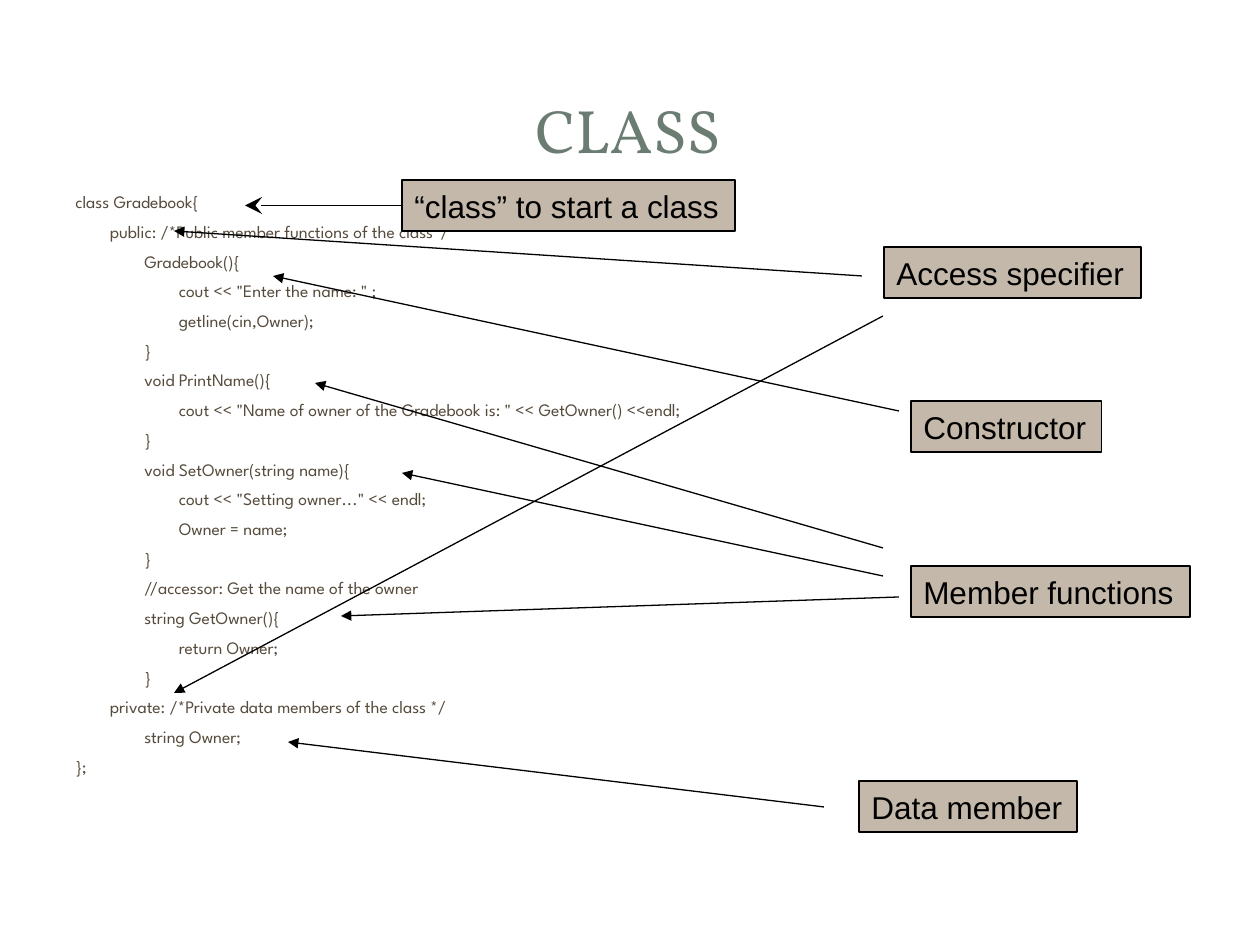
from lxml import etree
from pptx import Presentation
from pptx.dml.color import RGBColor
from pptx.enum.shapes import MSO_CONNECTOR
from pptx.enum.text import MSO_ANCHOR, MSO_AUTO_SIZE, PP_ALIGN
from pptx.oxml.ns import qn
from pptx.util import Pt

SCALE = 914400 // 126
STRAIGHT = MSO_CONNECTOR.STRAIGHT
MIDDLE = MSO_ANCHOR.MIDDLE
CENTER = PP_ALIGN.CENTER
FIT_SHAPE = MSO_AUTO_SIZE.SHAPE_TO_FIT_TEXT
NO_FIT = MSO_AUTO_SIZE.NONE

BLACK = RGBColor(0x00, 0x00, 0x00)
TITLE_GREEN = RGBColor(0x6B, 0x7D, 0x72)
CODE_BROWN = RGBColor(0x56, 0x4B, 0x3C)
LABEL_TAN = RGBColor(0xC3, 0xB8, 0xA9)

INDENT = 34.5
LABEL_HEIGHT = 51

# Indent level and wording of each line of code
CODE = [
    (0, "class Gradebook{"),
    (1, "public: /*Public member functions of the class*/"),
    (2, "Gradebook(){"),
    (3, 'cout << "Enter the name: " ;'),
    (3, "getline(cin,Owner);"),
    (2, "}"),
    (2, "void PrintName(){"),
    (3, 'cout << "Name of owner of the Gradebook is: " << GetOwner() <<endl;'),
    (2, "}"),
    (2, "void SetOwner(string name){"),
    (3, 'cout << "Setting owner..." << endl;'),
    (3, "Owner = name;"),
    (2, "}"),
    (2, "//accessor: Get the name of the owner"),
    (2, "string GetOwner(){"),
    (3, "return Owner;"),
    (2, "}"),
    (1, "private: /*Private data members of the class */"),
    (2, "string Owner;"),
    (0, "};"),
]

# Wording, left, top and width of each label, then its arrows (from, to)
CALLOUTS = [
    ("Access specifier", 884, 247, 257,
     [((883, 316), (174, 693)), ((862, 276), (174, 231))]),
    ("Member functions", 911, 566, 279,
     [((883, 548), (315, 383)), ((883, 576), (402, 473)),
      ((899, 597), (341, 616))]),
    ("Data member", 859, 781, 218, [((824, 807), (288, 742))]),
    ("Constructor", 911, 401, 191, [((899, 411), (273, 276))]),
]


def px(length):
    """Turn pixels into EMU."""
    return int(length * SCALE)


def set_font(para, name, size, color):
    """Set the font of a whole paragraph."""
    para.font.name = name
    para.font.size = Pt(size)
    para.font.color.rgb = color


def write_title(page, text, left, top, width, height):
    """Place and format the title placeholder."""
    title = page.shapes.title
    title.left, title.top, title.width, title.height = map(
        px, (left, top, width, height))
    frame = title.text_frame
    frame.text = text
    frame.vertical_anchor = MIDDLE
    frame.auto_size = NO_FIT
    para = frame.paragraphs[0]
    para.alignment = CENTER
    set_font(para, "Vollkorn", 35, TITLE_GREEN)


def add_code(page, lines, left, top, width, height):
    """Add the code listing, one indented paragraph a line."""
    box = page.shapes.add_textbox(*map(px, (left, top, width, height)))
    frame = box.text_frame
    frame.word_wrap = True
    frame.text = "\n".join(text for _, text in lines)
    for para, (level, _) in zip(frame.paragraphs, lines):
        para.space_before = Pt(5)
        para.line_spacing = Pt(12)
        para._p.get_or_add_pPr().set("marL", str(px(level * INDENT)))
        set_font(para, "League Spartan", 10, CODE_BROWN)


def add_label(shapes, text, left, top, width):
    """Add a framed label."""
    box = shapes.add_textbox(*map(px, (left, top, width, LABEL_HEIGHT)))
    box.fill.solid()
    box.fill.fore_color.rgb = LABEL_TAN
    box.line.color.rgb = BLACK
    box.line.width = Pt(0.75)
    frame = box.text_frame
    frame.word_wrap = False
    frame.auto_size = FIT_SHAPE
    frame.vertical_anchor = MIDDLE
    frame.text = text
    set_font(frame.paragraphs[0], "Arial", 18, BLACK)


def add_arrow(shapes, start, end, head="triangle", size="med"):
    """Add a straight arrow that points at its end."""
    arrow = shapes.add_connector(STRAIGHT, *map(px, (*start, *end)))
    arrow.line.color.rgb = BLACK
    arrow.line.width = Pt(0.75)
    etree.SubElement(arrow.line._get_or_add_ln(), qn("a:tailEnd"),
                     type=head, w=size, len=size)
    etree.SubElement(arrow._element.spPr, qn("a:effectLst"))


def add_class_callout(page, left, top, width):
    """Group the label of the class keyword with its arrow."""
    group = page.shapes.add_group_shape()
    add_label(group.shapes, "“class” to start a class", left, top, width)
    middle = top + LABEL_HEIGHT / 2
    add_arrow(group.shapes, (left, middle), (left - 157, middle),
              "stealth", "lg")


def add_callouts(page, callouts):
    """Add the labels beside the code and their arrows."""
    for text, left, top, width, arrows in callouts:
        add_label(page.shapes, text, left, top, width)
        for start, end in arrows:
            add_arrow(page.shapes, start, end)


def main():
    """Build and save the deck."""
    deck = Presentation()
    deck.slide_width, deck.slide_height = px(1260), px(945)
    page = deck.slides.add_slide(deck.slide_layouts[5])
    write_title(page, "CLASS", 59, 57, 1138, 144)
    add_code(page, CODE, 63, 185, 1134, 624)
    add_class_callout(page, 402, 180, 333)
    add_callouts(page, CALLOUTS)
    deck.save("out.pptx")


main()
